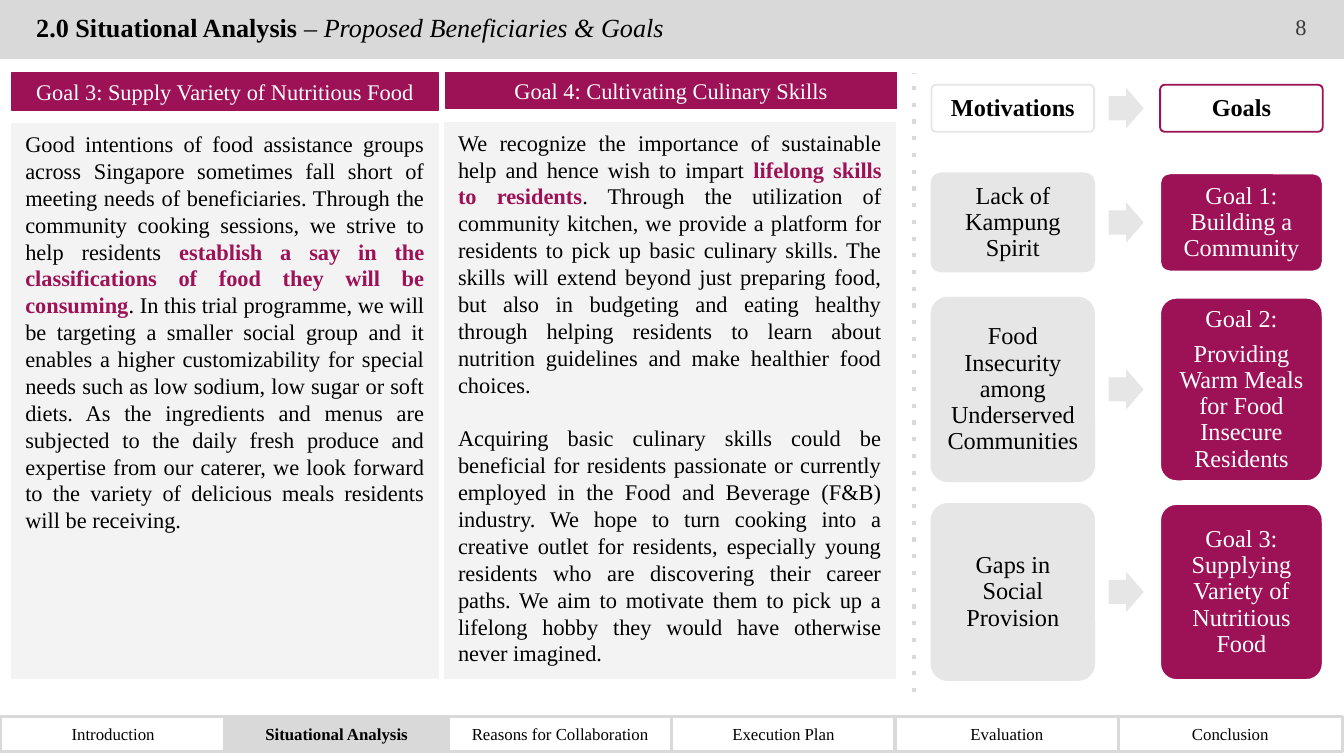
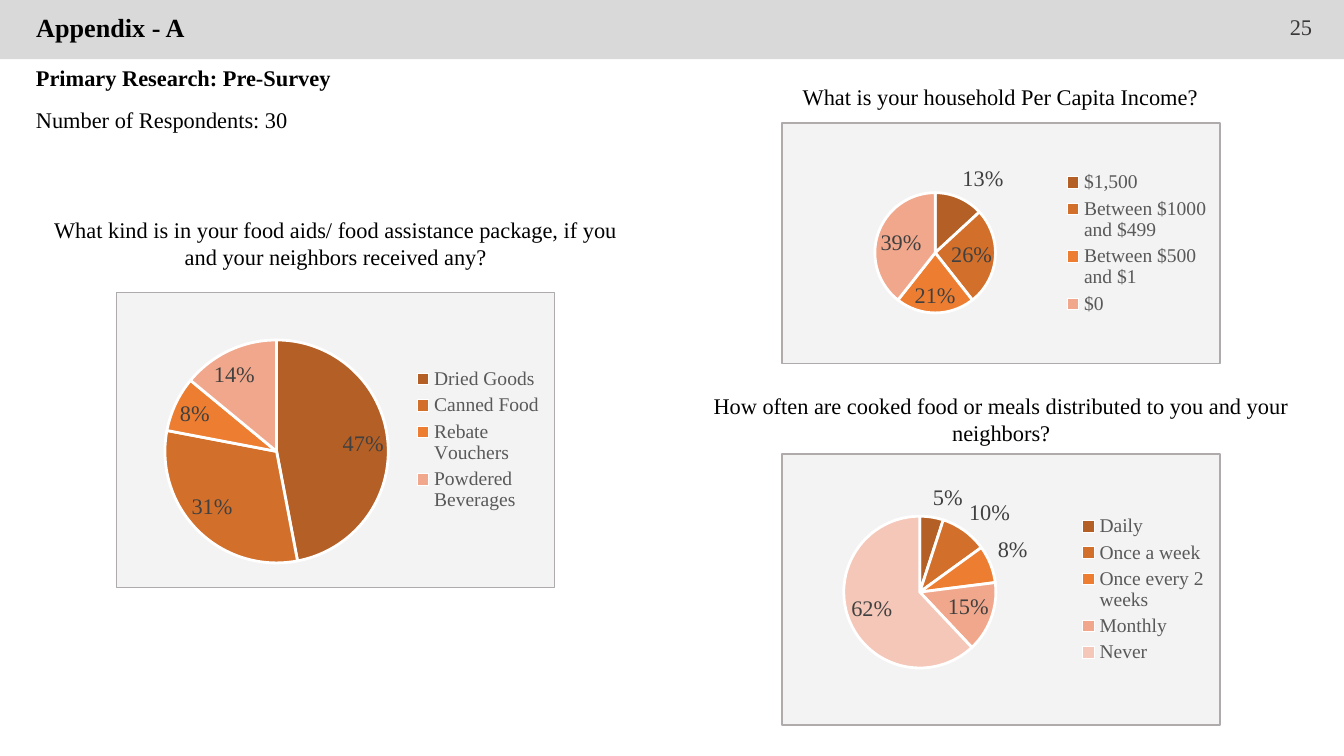
"""Build the situational analysis slide and the survey appendix slide."""
from dataclasses import dataclass

from lxml.etree import SubElement
from pptx import Presentation
from pptx.chart.data import CategoryChartData
from pptx.dml.color import RGBColor
from pptx.enum.chart import XL_CHART_TYPE as ChartType
from pptx.enum.chart import XL_LABEL_POSITION as LabelPosition
from pptx.enum.chart import XL_LEGEND_POSITION as LegendPosition
from pptx.enum.shapes import MSO_CONNECTOR as Connector
from pptx.enum.shapes import MSO_SHAPE as Preset
from pptx.enum.text import MSO_ANCHOR as Anchor
from pptx.enum.text import MSO_AUTO_SIZE as AutoSize
from pptx.enum.text import PP_ALIGN as Align
from pptx.oxml import parse_xml
from pptx.oxml.ns import nsdecls, qn
from pptx.util import Pt

FONT = "Times New Roman"
BLACK, WHITE, PLUM = "000000", "FFFFFF", "9D1156"
BAND, PANEL, SOFT = "D9D9D9", "F3F3F3", "E7E6E6"
PAGE_NUMBER, LEGEND_TEXT, LABEL_TEXT, CHART_BORDER = "3B3838", "595959", "404040", "AFABAB"
SLICES = ("B45F25", "D26F2B", "ED7D31", "F1A78B", "F5C7B8")
SECTIONS = ("Introduction", "Situational Analysis", "Reasons for Collaboration",
            "Execution Plan", "Evaluation", "Conclusion")


@dataclass(frozen=True)
class Box:
    left: float
    top: float
    width: float
    height: float

    def lengths(self) -> tuple:
        return tuple(Pt(v) for v in (self.left, self.top, self.width, self.height))


@dataclass(frozen=True)
class Span:
    text: str
    bold: bool = False
    italic: bool = False
    color: str = ""


@dataclass(frozen=True)
class GoalColumn:
    heading: str
    heading_box: Box
    body_box: Box
    paragraphs: tuple


@dataclass(frozen=True)
class FlowRow:
    top: float
    height: float
    motivation: str
    goal: tuple


@dataclass(frozen=True)
class Survey:
    question: str
    question_box: Box
    chart_box: Box
    answers: dict
    pie_area: tuple
    legend_area: tuple


@dataclass(frozen=True)
class Note:
    text: str
    box: Box
    bold: bool = False


GOAL_COLUMNS = (
    GoalColumn(
        "Goal 3: Supply Variety of Nutritious Food",
        Box(6.5, 38.9, 228.2, 20.2), Box(6.5, 66.2, 228.2, 297.4),
        ((Span("Good intentions of food assistance groups across Singapore sometimes fall short of "
               "meeting needs of beneficiaries. Through the community cooking sessions, we strive "
               "to help residents "),
          Span("establish a say in the classifications of food they will be consuming",
               bold=True, color=PLUM),
          Span(". In this trial programme, we will be targeting a smaller social group and it "
               "enables a higher customizability for special needs such as low sodium, low sugar "
               "or soft diets. As the ingredients and menus are subjected to the daily fresh "
               "produce and expertise from our caterer, we look forward to the variety of delicious "
               "meals residents will be receiving.")),)),
    GoalColumn(
        "Goal 4: Cultivating Culinary Skills",
        Box(239, 38.9, 241.2, 19.4), Box(238.3, 65.5, 241.2, 298.1),
        ((Span("We recognize the importance of sustainable help and hence wish to impart "),
          Span("lifelong skills to residents", bold=True, color=PLUM),
          Span(". Through the utilization of community kitchen, we provide a platform for "
               "residents to pick up basic culinary skills. The skills will extend beyond just "
               "preparing food, but also in budgeting and eating healthy through helping "
               "residents to learn about nutrition guidelines and make healthier food choices.")),
         (Span("Acquiring basic culinary skills could be beneficial for residents passionate or "
               "currently employed in the Food and Beverage (F&B) industry. We hope to turn "
               "cooking into a creative outlet for residents, especially young residents who are "
               "discovering their career paths. We aim to motivate them to pick up a lifelong "
               "hobby they would have otherwise never imagined."),))),
)

FLOW_HEADER = FlowRow(45.4, 25.2, "Motivations", ("Goals",))
FLOW_ROWS = (
    FlowRow(92.9, 52.6, "Lack of Kampung Spirit", ("Goal 1: Building a Community",)),
    FlowRow(159.5, 98.3, "Food Insecurity among Underserved Communities",
            ("Goal 2:", "Providing Warm Meals for Food Insecure Residents")),
    FlowRow(270, 94.3, "Gaps in Social Provision",
            ("Goal 3: Supplying Variety of Nutritious Food",)),
)

SURVEYS = (
    Survey("How often are cooked food or meals distributed to you and your neighbors?",
           Box(360, 206.6, 352.8, 36), Box(418.5, 242.8, 235.4, 146),
           {"Daily": 5, "Once a week": 10, "Once every 2 weeks": 8, "Monthly": 15, "Never": 62},
           (0.14, 0.23, 0.35, 0.56), (0.67, 0.21, 0.31, 0.58)),
    Survey("What kind is in your food aids/ food assistance package, if you and your neighbors "
           "received any?",
           Box(12.2, 112.3, 335.5, 36), Box(62.2, 156.2, 235.4, 158.8),
           {"Dried Goods": 47, "Canned Food": 31, "Rebate Vouchers": 8, "Powdered Beverages": 14},
           (0.11, 0.16, 0.51, 0.76), (0.67, 0.24, 0.31, 0.52)),
    Survey("What is your household Per Capita Income?",
           Box(418.3, 41, 235.4, 21.6), Box(418.5, 65.5, 235.4, 129.6),
           {"$1,500": 13, "Between $1000 and $499": 26, "Between $500 and $1": 21, "$0": 39},
           (0.21, 0.29, 0.28, 0.5), (0.63, 0.18, 0.36, 0.64)),
)

NOTES = (
    Note("Primary Research: Pre-Survey", Box(12.2, 31, 335.5, 21.6), bold=True),
    Note("Number of Respondents: 30", Box(12.2, 53.3, 151.2, 21.6)),
)


def rgb(color: str) -> RGBColor:
    """Turn a hex string into a colour."""
    return RGBColor.from_string(color)


def write_text(shape, paragraphs, *, size=12, color=BLACK, bold=False, align=Align.CENTER,
               anchor=Anchor.MIDDLE, margins=(7.2, 3.6), gap=0, line_spacing=1.0) -> None:
    """Fill a shape with paragraphs, each a string or a sequence of spans."""
    frame = shape.text_frame
    frame.word_wrap, frame.auto_size, frame.vertical_anchor = True, AutoSize.NONE, anchor
    frame.margin_left = frame.margin_right = Pt(margins[0])
    frame.margin_top = frame.margin_bottom = Pt(margins[1])
    for index, content in enumerate(paragraphs):
        paragraph = frame.add_paragraph() if index else frame.paragraphs[0]
        paragraph.alignment, paragraph.line_spacing = align, line_spacing
        paragraph.space_before = Pt(gap if index else 0)
        for span in (Span(content),) if isinstance(content, str) else content:
            run = paragraph.add_run()
            run.text = span.text
            run.font.name, run.font.size = FONT, Pt(size)
            run.font.bold, run.font.italic = bold or span.bold, span.italic
            run.font.color.rgb = rgb(span.color or color)


def add_block(slide, preset, box: Box, fill="", line="", line_width=0.75):
    """Add a preset shape with optional fill and outline."""
    shape = slide.shapes.add_shape(preset, *box.lengths())
    shape.shadow.inherit = False
    if fill:
        shape.fill.solid()
        shape.fill.fore_color.rgb = rgb(fill)
    else:
        shape.fill.background()
    if line:
        shape.line.color.rgb = rgb(line)
        shape.line.width = Pt(line_width)
    else:
        shape.line.fill.background()
    return shape


def add_label(slide, box: Box, text: str, **text_format) -> None:
    """Add a text box holding one paragraph."""
    write_text(slide.shapes.add_textbox(*box.lengths()), (text,), **text_format)


def start_slide(presentation, title_spans: tuple, title_width: float, number: str):
    """Add a slide with the header band, title and page number."""
    slide = presentation.slides.add_slide(presentation.slide_layouts[5])
    title = slide.shapes.title
    title.left, title.top, title.width, title.height = Box(0, 0, title_width, 31).lengths()
    band = add_block(slide, Preset.RECTANGLE, Box(0, 0, 720, 31.7), BAND)
    title.element.addprevious(band.element)
    write_text(title, (title_spans,), size=14, align=Align.LEFT, margins=(19.4, 3.6),
               line_spacing=0.9)
    add_label(slide, Box(673.9, 0, 46.1, 28.8), number, color=PAGE_NUMBER)
    return slide


def add_goal_column(slide, column: GoalColumn) -> None:
    """Draw a goal heading above its text panel."""
    panel = add_block(slide, Preset.RECTANGLE, column.body_box, PANEL, PANEL)
    write_text(panel, column.paragraphs, align=Align.JUSTIFY, anchor=Anchor.TOP, gap=14.4)
    heading = add_block(slide, Preset.RECTANGLE, column.heading_box, PLUM, PLUM)
    write_text(heading, (column.heading,), color=WHITE)


def add_flow_row(slide, row: FlowRow, header=False) -> None:
    """Draw a motivation, an arrow and the goal it leads to."""
    cells = ((499, (row.motivation,), "" if header else SOFT, SOFT, BLACK),
             (621.5, row.goal, "" if header else PLUM, PLUM if header else WHITE,
              BLACK if header else WHITE))
    for left, paragraphs, fill, line, color in cells:
        card = add_block(slide, Preset.ROUNDED_RECTANGLE, Box(left, row.top, 87.1, row.height),
                         fill, line, 1)
        card.adjustments[0] = 0.1
        write_text(card, paragraphs, size=13, color=color, bold=header, margins=(6, 5),
                   gap=4.5, line_spacing=0.9)
    arrow_top = row.top + (row.height - 21.6) / 2
    arrow = add_block(slide, Preset.RIGHT_ARROW, Box(594, arrow_top, 18.7, 21.6), SOFT)
    arrow.adjustments[0], arrow.adjustments[1] = 0.6, 0.5


def add_divider(slide) -> None:
    """Draw the dotted vertical divider."""
    divider = slide.shapes.add_connector(Connector.STRAIGHT, Pt(489.6), Pt(370.8), Pt(489.6),
                                         Pt(38.9))
    divider.line.color.rgb = rgb(BAND)
    divider.line.width = Pt(2.25)
    SubElement(divider.get_or_add_ln(), qn("a:prstDash"), val="dot")
    SubElement(divider.element.spPr, qn("a:effectLst"))


def add_section_tabs(slide, active: str) -> None:
    """Draw the row of section tabs with the active one shaded."""
    for index, section in enumerate(SECTIONS):
        current = section == active
        tab = add_block(slide, Preset.RECTANGLE, Box(0.5 + index * 119.7, 383.8, 120.2, 18.7),
                        BAND if current else "", BAND, 1.5)
        write_text(tab, (section,), size=9, bold=current)


def set_layout(parent, index: int, area: tuple, target="") -> None:
    """Place a chart part by fractions of the chart area."""
    for old in parent.findall(qn("c:layout")):
        parent.remove(old)
    layout = parse_xml(f"<c:layout {nsdecls('c')}><c:manualLayout/></c:layout>")
    settings = [("layoutTarget", target)] if target else []
    settings += [("xMode", "edge"), ("yMode", "edge"), *zip("xywh", map(str, area))]
    for name, value in settings:
        SubElement(layout[0], qn(f"c:{name}"), val=value)
    parent.insert(index, layout)


def style_font(font, size: float, color: str) -> None:
    """Set the face, size and colour of a chart font."""
    font.name, font.size, font.color.rgb = FONT, Pt(size), rgb(color)


def add_survey(slide, survey: Survey) -> None:
    """Draw a survey question and the pie chart of its answers."""
    add_label(slide, survey.question_box, survey.question, anchor=Anchor.TOP)
    data = CategoryChartData()
    data.categories = survey.answers.keys()
    data.add_series("Series 1", survey.answers.values())
    chart = slide.shapes.add_chart(ChartType.PIE, *survey.chart_box.lengths(), data).chart
    chart.has_title, chart.has_legend = False, True
    style_font(chart.font, 10, BLACK)
    chart.legend.position, chart.legend.include_in_layout = LegendPosition.RIGHT, False
    style_font(chart.legend.font, 10.5, LEGEND_TEXT)
    plot = chart.plots[0]
    plot.vary_by_categories = plot.has_data_labels = True
    labels = plot.data_labels
    labels.show_percentage, labels.show_value = True, False
    labels.number_format, labels.number_format_is_linked = "0%", False
    labels.position = LabelPosition.BEST_FIT
    style_font(labels.font, 12, LABEL_TEXT)
    for index, color in enumerate(SLICES[:len(survey.answers)]):
        point = plot.series[0].points[index].format
        point.fill.solid()
        point.fill.fore_color.rgb = rgb(color)
        point.line.color.rgb, point.line.width = rgb(WHITE), Pt(1.5)
    root = chart.element
    set_layout(root.find(".//" + qn("c:plotArea")), 0, survey.pie_area, "inner")
    set_layout(root.find(".//" + qn("c:legend")), 1, survey.legend_area)
    root.find(qn("c:txPr")).addprevious(parse_xml(
        f'<c:spPr {nsdecls("c", "a")}><a:solidFill><a:srgbClr val="{PANEL}"/></a:solidFill>'
        f'<a:ln w="{Pt(0.75)}"><a:solidFill><a:srgbClr val="{CHART_BORDER}"/></a:solidFill>'
        "</a:ln></c:spPr>"))


def main() -> None:
    """Build both slides and save the presentation."""
    presentation = Presentation()
    presentation.slide_width, presentation.slide_height = Pt(720), Pt(405)

    title = (Span("2.0 Situational Analysis ", bold=True), Span("– "),
             Span("Proposed Beneficiaries & Goals", italic=True))
    goals = start_slide(presentation, title, 429, "8")
    for column in GOAL_COLUMNS:
        add_goal_column(goals, column)
    add_divider(goals)
    add_flow_row(goals, FLOW_HEADER, header=True)
    for row in FLOW_ROWS:
        add_flow_row(goals, row)
    add_section_tabs(goals, "Situational Analysis")

    appendix = start_slide(presentation, (Span("Appendix - A", bold=True),), 234, "25")
    for survey in SURVEYS:
        add_survey(appendix, survey)
    for note in NOTES:
        add_label(appendix, note.box, note.text, bold=note.bold, align=Align.JUSTIFY,
                  anchor=Anchor.TOP)
    presentation.save("out.pptx")


if __name__ == "__main__":
    main()
